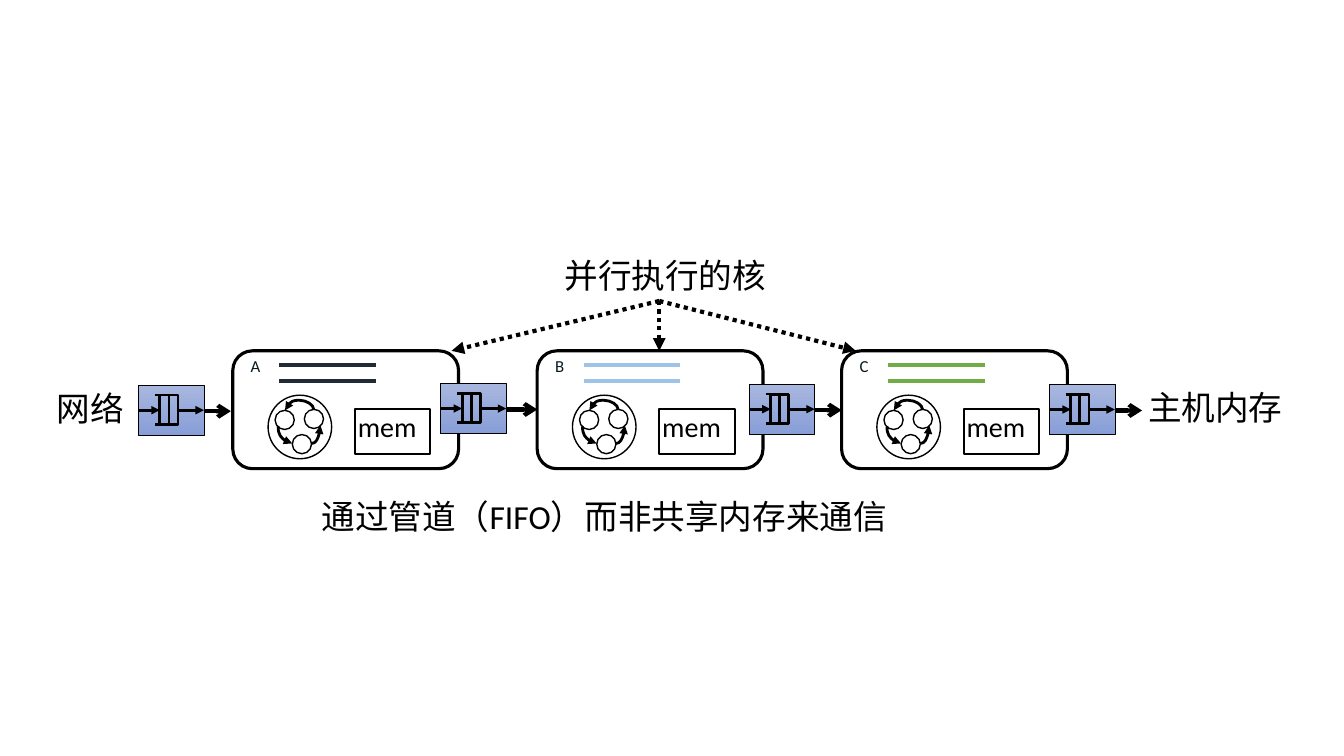
from dataclasses import dataclass

from lxml import etree
from pptx import Presentation
from pptx.dml.color import RGBColor
from pptx.enum.dml import MSO_LINE
from pptx.enum.shapes import MSO_CONNECTOR, MSO_SHAPE
from pptx.enum.text import MSO_AUTO_SIZE
from pptx.oxml.ns import qn
from pptx.util import Pt

STRAIGHT, CURVE = MSO_CONNECTOR.STRAIGHT, MSO_CONNECTOR.CURVE
RECT, ROUNDED, OVAL = MSO_SHAPE.RECTANGLE, MSO_SHAPE.ROUNDED_RECTANGLE, MSO_SHAPE.OVAL
DOTTED = MSO_LINE.ROUND_DOT
GROW = MSO_AUTO_SIZE.SHAPE_TO_FIT_TEXT

BLACK = RGBColor(0x00, 0x00, 0x00)
WHITE = RGBColor(0xFF, 0xFF, 0xFF)
CORE_NAME = RGBColor(0x06, 0x19, 0x22)
NAVY = RGBColor(0x22, 0x2A, 0x35)
SKY = RGBColor(0x9D, 0xC3, 0xE6)
GREEN = RGBColor(0x70, 0xAD, 0x47)
FIFO_TOP = RGBColor(0xA8, 0xB7, 0xDF)
FIFO_BOTTOM = RGBColor(0x88, 0x9E, 0xD7)

FONT = "Calibri"
CORE_LEFT, CORE_TOP, CORE_PITCH = 166.3, 250.6, 217.44
CORE_WIDTH, CORE_HEIGHT = 161.3, 84.2
FIFO_WIDTH, FIFO_HEIGHT = 47, 36
STATE_SIZE = 13.7
STATES = ((42.5, 59.8), (30.2, 42.5), (51.1, 41.8))


@dataclass(frozen=True)
class Core:
    name: str
    color: RGBColor


@dataclass(frozen=True)
class Fifo:
    left: float
    top: float
    arrow_end: float


@dataclass(frozen=True)
class Label:
    text: str
    left: float
    top: float
    width: float
    wrap: bool = False


CORES = (Core("A", NAVY), Core("B", SKY), Core("C", GREEN))
FIFOS = (
    Fifo(98.7, 275, 164.9),
    Fifo(314.6, 273.8, 383.8),
    Fifo(535, 274.3, 601.2),
    Fifo(749.4, 274.5, 815.8),
)
LABELS = (
    Label("网络", 25.9, 268.6, 77.8),
    Label("主机内存", 805.7, 267.8, 126),
    Label("并行执行的核", 388.8, 173.5, 174.2),
    Label("通过管道（FIFO）而非共享内存来通信", 215.3, 346.3, 437, wrap=True),
)


def add_box(shapes, kind, left: float, top: float, width: float, height: float,
            weight: float, fill: RGBColor | None = None):
    box = shapes.add_shape(kind, Pt(left), Pt(top), Pt(width), Pt(height))
    box.shadow.inherit = False
    if fill is None:
        box.fill.background()
    else:
        box.fill.solid()
        box.fill.fore_color.rgb = fill
    box.line.color.rgb = BLACK
    box.line.width = Pt(weight)
    return box


def add_line(shapes, start: tuple, end: tuple, weight: float, color: RGBColor = BLACK,
             head: str = "", tail: str = "", dash=None, kind=STRAIGHT):
    line = shapes.add_connector(kind, Pt(start[0]), Pt(start[1]), Pt(end[0]), Pt(end[1]))
    line.line.color.rgb = color
    line.line.width = Pt(weight)
    if dash is not None:
        line.line.dash_style = dash
    properties = line._element.spPr
    for tag, arrow in (("a:headEnd", head), ("a:tailEnd", tail)):
        if arrow:
            etree.SubElement(properties.find(qn("a:ln")), qn(tag), type=arrow)
    etree.SubElement(properties, qn("a:effectLst"))
    return line


def add_text(shapes, text: str, left: float, top: float, width: float, height: float,
             size: float, color: RGBColor, margins: tuple, wrap: bool):
    frame = shapes.add_textbox(Pt(left), Pt(top), Pt(width), Pt(height)).text_frame
    frame.word_wrap = wrap
    frame.auto_size = GROW
    frame.margin_left = frame.margin_right = Pt(margins[0])
    frame.margin_top = frame.margin_bottom = Pt(margins[1])
    run = frame.paragraphs[0].add_run()
    run.text = text
    run.font.name, run.font.size, run.font.color.rgb = FONT, Pt(size), color
    return frame.paragraphs[0]


def add_label(shapes, label: Label, size: float = 24, height: float = 49.7) -> None:
    paragraph = add_text(shapes, label.text, label.left, label.top, label.width, height,
                         size, BLACK, (14.4, 11.5), label.wrap)
    paragraph.line_spacing = 0.9
    paragraph.space_after = Pt(6)


def add_state_machine(shapes, left: float, top: float) -> None:
    wheel = shapes.add_group_shape().shapes
    add_box(wheel, OVAL, left + 25.2, top + 31.7, 45.4, 45.4, 1)
    for x, y in STATES:
        add_box(wheel, OVAL, left + x, top + y, STATE_SIZE, STATE_SIZE, 1, WHITE)

    def add_transition(start: tuple, end: tuple, head: str = "", tail: str = ""):
        curve = add_line(wheel, (left + start[0], top + start[1]),
                         (left + end[0], top + end[1]), 2, head=head, tail=tail, kind=CURVE)
        return curve._element.spPr

    for start, end, head, tail in (
        ((56.2, 66.2), (62.6, 53.3), "", "triangle"),
        ((42.5, 66.2), (32.4, 54), "triangle", ""),
    ):
        quarter = add_transition(start, end, head, tail)
        quarter.find(qn("a:prstGeom")).set("prst", "curvedConnector2")

    # The upper transition is a quarter turn with its bend pushed outwards
    arch = add_transition((47.9, 52.4), (47.2, 31.9), tail="triangle")
    arch.find(qn("a:xfrm")).set("rot", str(270 * 60000))
    adjustments = arch.find(qn("a:prstGeom")).get_or_add_avLst()
    etree.SubElement(adjustments, qn("a:gd"), name="adj1", fmla="val -921700")


def add_core(shapes, core: Core, left: float, top: float) -> None:
    add_box(shapes, ROUNDED, left, top, CORE_WIDTH, CORE_HEIGHT, 2.25, WHITE)
    add_text(shapes, core.name, left + 2.9, top, 120, 21.6, 12, CORE_NAME, (9.9, 3.6), True)
    add_state_machine(shapes, left, top)
    for y in (top + 10.1, top + 21.6):
        add_line(shapes, (left + 33.1, y), (left + 102.2, y), 3, core.color)
    add_box(shapes, RECT, left + 87.1, top + 41.8, 54, 31.7, 1.5, WHITE)
    add_label(shapes, Label("mem", left + 74.9, top + 33.8, 74.9), 20, 45.4)


def add_fifo(shapes, fifo: Fifo) -> None:
    left, top = fifo.left, fifo.top
    middle = top + FIFO_HEIGHT / 2
    add_line(shapes, (left + 10, middle + 0.7), (fifo.arrow_end, middle + 0.7), 3, tail="arrow")

    queue = shapes.add_group_shape().shapes
    body = add_box(queue, RECT, left, top, FIFO_WIDTH, FIFO_HEIGHT, 0.5)
    body.fill.gradient()
    body.fill.gradient_angle = 270
    for stop, color in zip(body.fill.gradient_stops, (FIFO_TOP, FIFO_BOTTOM)):
        stop.color.rgb = color
    for start, end in ((0, 15.5), (28.5, FIFO_WIDTH)):
        add_line(queue, (left + start, middle), (left + end, middle), 2, tail="triangle")
    for x in (15.5, 22):
        add_box(queue, RECT, left + x, top + 7.2, 6.5, 20.9, 2)
    for y in (top + 7.2, top + 28.1):
        add_line(queue, (left + 18.7, y), (left + 12.2, y), 2)


deck = Presentation()
deck.slide_width, deck.slide_height = Pt(960), Pt(540)
shapes = deck.slides.add_slide(deck.slide_layouts[6]).shapes

# Cores
for index, core in enumerate(CORES):
    add_core(shapes, core, CORE_LEFT + index * CORE_PITCH, CORE_TOP)

# Pipes between the network, the cores and the host memory
for fifo in FIFOS:
    add_fifo(shapes, fifo)

# Pointers from the heading to the cores
for target in (322.6, 470.9, 611.3):
    add_line(shapes, (470.9, 215), (target, CORE_TOP), 3, tail="triangle", dash=DOTTED)

# Labels
for label in LABELS:
    add_label(shapes, label)

deck.save("out.pptx")
